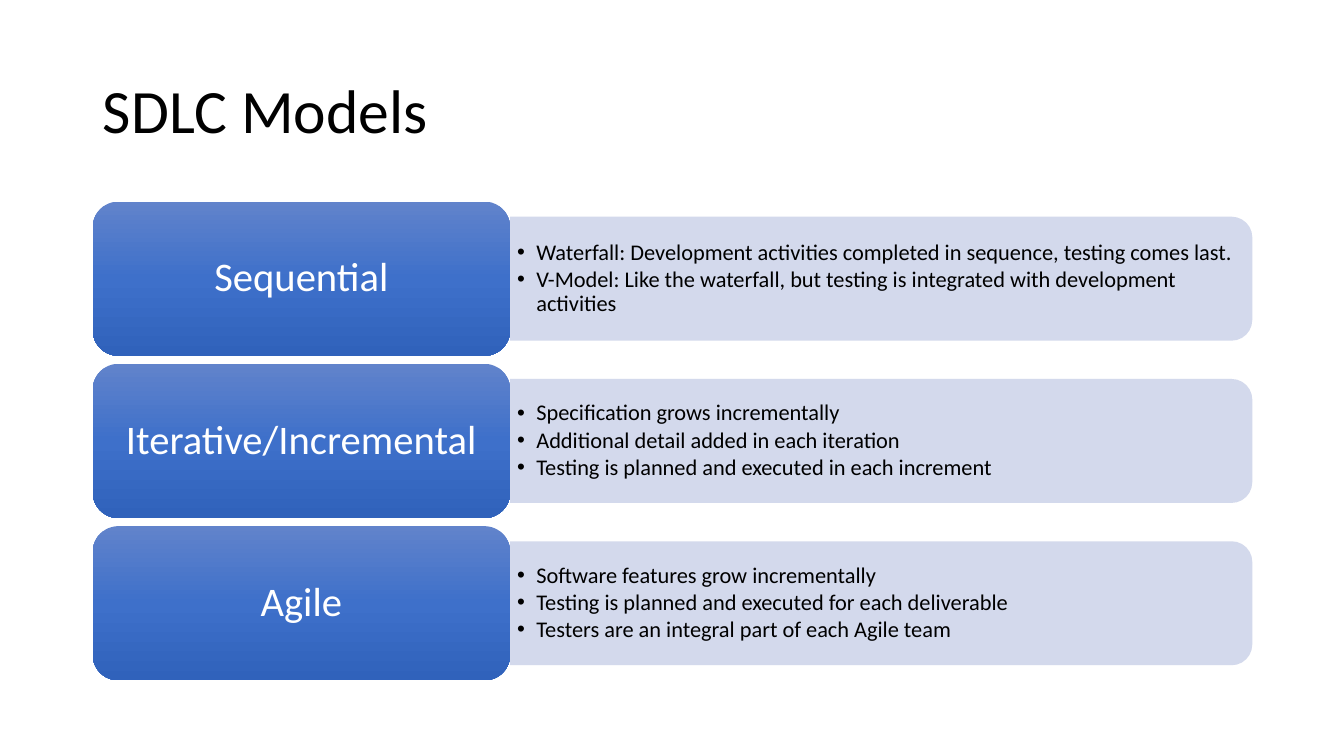
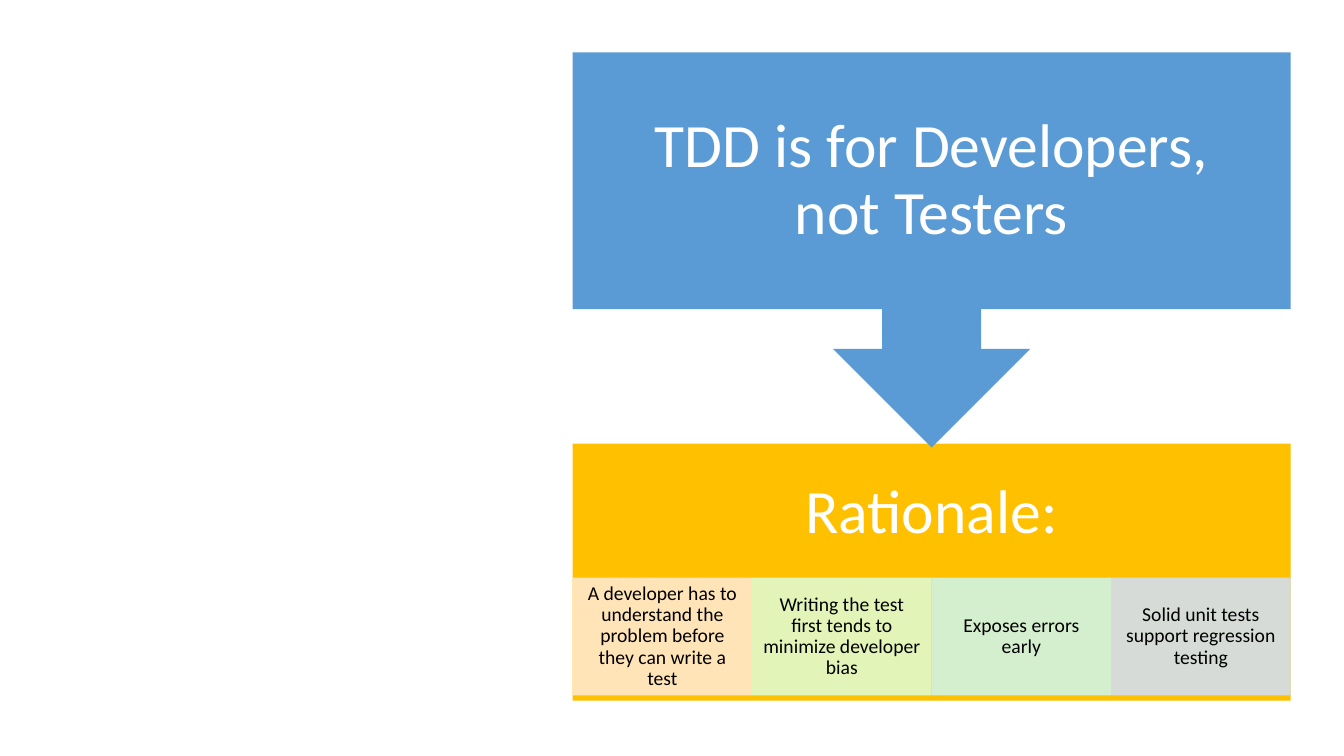
from copy import deepcopy

from pptx import Presentation
from pptx.dml.color import RGBColor
from pptx.enum.shapes import MSO_SHAPE
from pptx.enum.text import MSO_ANCHOR, PP_ALIGN
from pptx.oxml.ns import qn
from pptx.util import Inches, Pt
from lxml import etree

RECT = MSO_SHAPE.RECTANGLE
ROUND = MSO_SHAPE.ROUNDED_RECTANGLE
TAB = MSO_SHAPE.ROUND_2_SAME_RECTANGLE
CALLOUT = MSO_SHAPE.DOWN_ARROW_CALLOUT
MIDDLE = MSO_ANCHOR.MIDDLE
LEFT, CENTER = PP_ALIGN.LEFT, PP_ALIGN.CENTER

FONT = "Calibri"
HEAD = 44
COLORS = {
    "black": "000000", "white": "FFFFFF", "pale": "CFD5EA",
    "top": "6183CB", "mid": "3E70CA", "base": "3062BB",
    "amber": "FFC000", "sky": "5B9BD5",
    "peach": "FFE8CC", "lime": "E1FACE", "mint": "D0F5E5", "mist": "D2DFF0",
}
RGB = {name: RGBColor.from_string(code) for name, code in COLORS.items()}


def draw(slide, kind, spot, color, alpha=None):
    """Add a plain filled shape, see-through if alpha is given."""
    shape = slide.shapes.add_shape(kind, *[Inches(n) for n in spot])
    shape.shadow.inherit = False
    shape.fill.solid()
    shape.fill.fore_color.rgb = RGB[color]
    shape.line.fill.background()
    if alpha:
        tint = shape._element.spPr.find(qn("a:solidFill"))[0]
        etree.SubElement(tint, qn("a:alpha"), val=str(alpha * 1000))
    return shape


def write(shape, text, size, color, align, pads):
    """Set text, with pads as left, top, right and bottom insets."""
    frame = shape.text_frame
    frame.word_wrap = True
    frame.vertical_anchor = MIDDLE
    (frame.margin_left, frame.margin_top,
     frame.margin_right, frame.margin_bottom) = [Inches(n) for n in pads]
    frame.text = text
    for para in frame.paragraphs:
        para.alignment = align
        para.line_spacing = 0.9
        for run in para.runs:
            run.font.size = Pt(size)
            run.font.name = FONT
            run.font.color.rgb = RGB[color]
    return frame


deck = Presentation()
deck.slide_width, deck.slide_height = Inches(13.33), Inches(7.5)
titled, blank = deck.slide_layouts[5], deck.slide_layouts[6]

# Slide 1: development models
slide = deck.slides.add_slide(titled)
title = slide.shapes.title
title.left, title.top = Inches(0.92), Inches(0.4)
title.width, title.height = Inches(11.5), Inches(1.45)
write(title, "SDLC Models", HEAD, "black", LEFT, (0.1, 0.05, 0.1, 0.05))

models = [
    ("Sequential", [
        "Waterfall: Development activities completed in sequence, testing comes last.",
        "V-Model: Like the waterfall, but testing is integrated with development activities"]),
    ("Iterative/Incremental", [
        "Specification grows incrementally",
        "Additional detail added in each iteration",
        "Testing is planned and executed in each increment"]),
    ("Agile", [
        "Software features grow incrementally",
        "Testing is planned and executed for each deliverable",
        "Testers are an integral part of each Agile team"]),
]
side, wide, high, step = 0.92, 4.14, 1.53, 1.61
long, thick = 7.36, 1.23
edge = side + wide

for i, (name, points) in enumerate(models):
    top = 2 + i * step
    center = top + high / 2

    # Pale bar: an upright tab turned on its side
    spot = (edge + (long - thick) / 2, center - long / 2, thick, long)
    bar = draw(slide, TAB, spot, "pale", 90)
    bar.rotation = 90

    # Bullets
    spot = (edge, center - 0.555, 7.3, 1.11)
    box = slide.shapes.add_textbox(*[Inches(n) for n in spot])
    frame = write(box, "\n".join(points), 16, "black", LEFT,
                  (0.07, 0.03, 0.07, 0.03))
    for para in frame.paragraphs:
        para.space_after = Pt(2.2)
        props = para._p.get_or_add_pPr()
        props.set("marL", str(Inches(0.19)))
        props.set("indent", str(-Inches(0.19)))
        etree.SubElement(props, qn("a:buFont"), typeface="Arial")
        etree.SubElement(props, qn("a:buChar"), char="•")

    # Name card with a three-stop gradient
    card = draw(slide, ROUND, (side, top, wide, high), "mid")
    card.fill.gradient()
    card.fill.gradient_angle = 270
    stops = card._element.spPr.find(".//" + qn("a:gsLst"))
    stops.append(deepcopy(stops[0]))
    shades = [(0, "top"), (0.5, "mid"), (1, "base")]
    for stop, (place, shade) in zip(card.fill.gradient_stops, shades):
        stop.position = place
        stop.color.rgb = RGB[shade]
    write(card, name, 29, "white", CENTER, (0.12, 0.06, 0.12, 0.06))

# Slide 2: statement and its reasons
slide = deck.slides.add_slide(blank)
side, wide = 5.68, 7.12
panel = draw(slide, RECT, (side, 4.4, wide, 2.55), "amber")
write(panel, "Rationale:", HEAD, "white", CENTER, (0.34, 0.34, 0.34, 1.51))

reasons = [
    ("A developer has to understand the problem before they can write a test", "peach"),
    ("Writing the test first tends to minimize developer bias", "lime"),
    ("Exposes errors early", "mint"),
    ("Solid unit tests support regression testing", "mist"),
]
cell = wide / len(reasons)
for i, (text, color) in enumerate(reasons):
    tile = draw(slide, RECT, (side + i * cell, 5.73, cell, 1.17), color, 90)
    write(tile, text, 14, "black", CENTER, (0.11, 0.02, 0.11, 0.02))

claim = draw(slide, CALLOUT, (side, 0.52, wide, 3.92), "sky")
write(claim, "TDD is for Developers, not Testers", HEAD, "white", CENTER,
      (0.34, 0.34, 0.34, 0.34))

deck.save("out.pptx")
